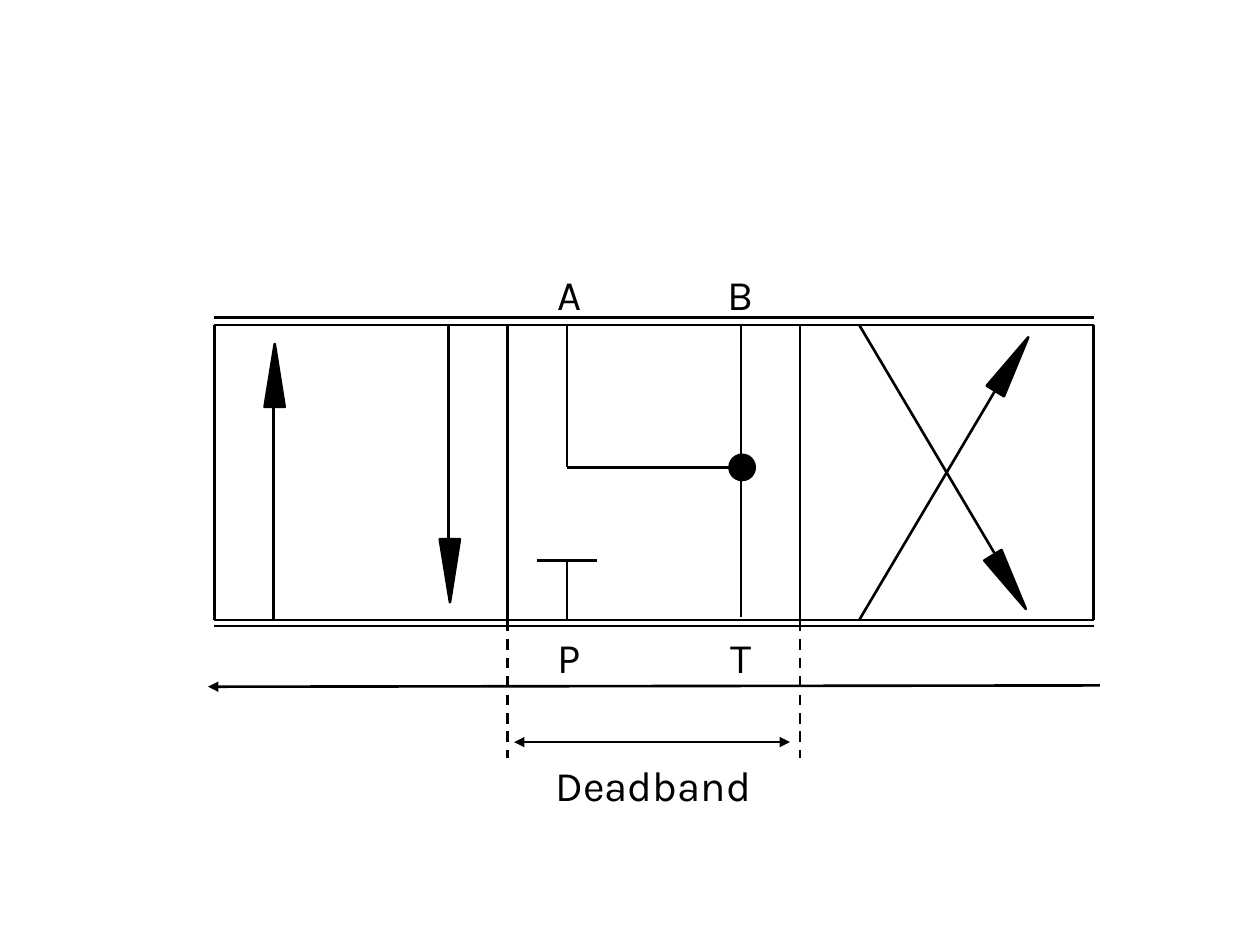
from lxml.etree import SubElement
from pptx import Presentation
from pptx.dml.color import RGBColor
from pptx.enum.dml import MSO_LINE
from pptx.enum.shapes import MSO_CONNECTOR, MSO_SHAPE
from pptx.enum.text import MSO_ANCHOR, PP_ALIGN
from pptx.oxml.ns import qn
from pptx.util import Inches, Pt

INK = "000000"
LEFT, RIGHT, TOP, BASE = 1.7, 8.68, 2.58, 4.92
WALLS = (4.03, 6.35)
PORT_A, PORT_B, JOINT, STOP = 4.5, 5.88, 3.71, 4.45

FRAME = [(LEFT, y, RIGHT, y) for y in (TOP, BASE, 2.52, 4.97)]
FRAME += [(x, TOP, x, BASE) for x in (LEFT, *WALLS, RIGHT)]
FLOWS = [
    (2.17, BASE, 2.17, 3.04),
    (3.56, TOP, 3.56, 4.45),
    (6.82, TOP, 7.94, 4.47),
    (6.82, BASE, 7.94, 3.03),
    (PORT_A, TOP, PORT_A, JOINT),
    (PORT_A, JOINT, PORT_B, JOINT),
    (PORT_B, TOP, PORT_B, 4.9),
    (PORT_A, STOP, PORT_A, BASE),
    (4.26, STOP, 4.74, STOP),
]
HEADS = [
    (2.1, 2.73, 0, 0.507),
    (3.49, 4.28, 180, 0.493),
    (7.93, 4.37, 148.6, 0.493),
    (7.95, 2.64, 31.4, 0.507),
]
SPANS = [
    ((8.73, 5.44, 1.65, 5.45), ("tailEnd",)),
    ((4.08, 5.89, 6.27, 5.89), ("headEnd", "tailEnd")),
]
LABELS = [
    ("A", 4.26, 2.08, 0.52),
    ("B", 5.62, 2.08, 0.52),
    ("P", 4.26, 4.96, 0.52),
    ("T", 5.62, 4.96, 0.52),
    ("Deadband", 4.06, 5.98, 2.25),
]
FONT = {"name": "Karla", "size": Pt(24)}


def paint(item, code):
    item.rgb = RGBColor.from_string(code)


def stroke(line):
    line.width = Pt(1.5)
    line.fill.solid()
    paint(line.color, INK)


def rule(shapes, ends, dash=None, tips=()):
    wire = shapes.add_connector(MSO_CONNECTOR.STRAIGHT, *map(Inches, ends))
    stroke(wire.line)
    if dash:
        wire.line.dash_style = dash
    for tip in tips:
        SubElement(wire.line._get_or_add_ln(), qn("a:" + tip), type="triangle")
    SubElement(wire._element.spPr, qn("a:effectLst"))


def solid(shapes, kind, *box):
    shape = shapes.add_shape(kind, *map(Inches, box))
    shape.shadow.inherit = False
    shape.fill.solid()
    paint(shape.fill.fore_color, INK)
    stroke(shape.line)
    return shape


def label(shapes, text, x, y, wide):
    frame = shapes.add_textbox(*map(Inches, (x, y, wide, 0.5))).text_frame
    frame.word_wrap = True
    frame.vertical_anchor = MSO_ANCHOR.TOP
    para = frame.paragraphs[0]
    para.alignment = PP_ALIGN.CENTER
    run = para.add_run()
    run.text = text
    for key, value in FONT.items():
        setattr(run.font, key, value)
    paint(run.font.color, INK)


def main():
    deck = Presentation()
    deck.slide_width, deck.slide_height = Inches(10), Inches(7.5)
    shapes = deck.slides.add_slide(deck.slide_layouts[6]).shapes
    for ends in FRAME + FLOWS:
        rule(shapes, ends)
    for x, y, turn, peak in HEADS:
        head = solid(shapes, MSO_SHAPE.ISOSCELES_TRIANGLE, x, y, 0.16, 0.5)
        head.adjustments[0] = peak
        head.rotation = turn
    solid(shapes, MSO_SHAPE.OVAL, 5.79, 3.61, 0.2, 0.2)
    for ends, tips in SPANS:
        rule(shapes, ends, tips=tips)
    for x in WALLS:
        rule(shapes, (x, 3.76, x, 6.02), MSO_LINE.DASH)
    for item in LABELS:
        label(shapes, *item)
    deck.save("out.pptx")


if __name__ == "__main__":
    main()
